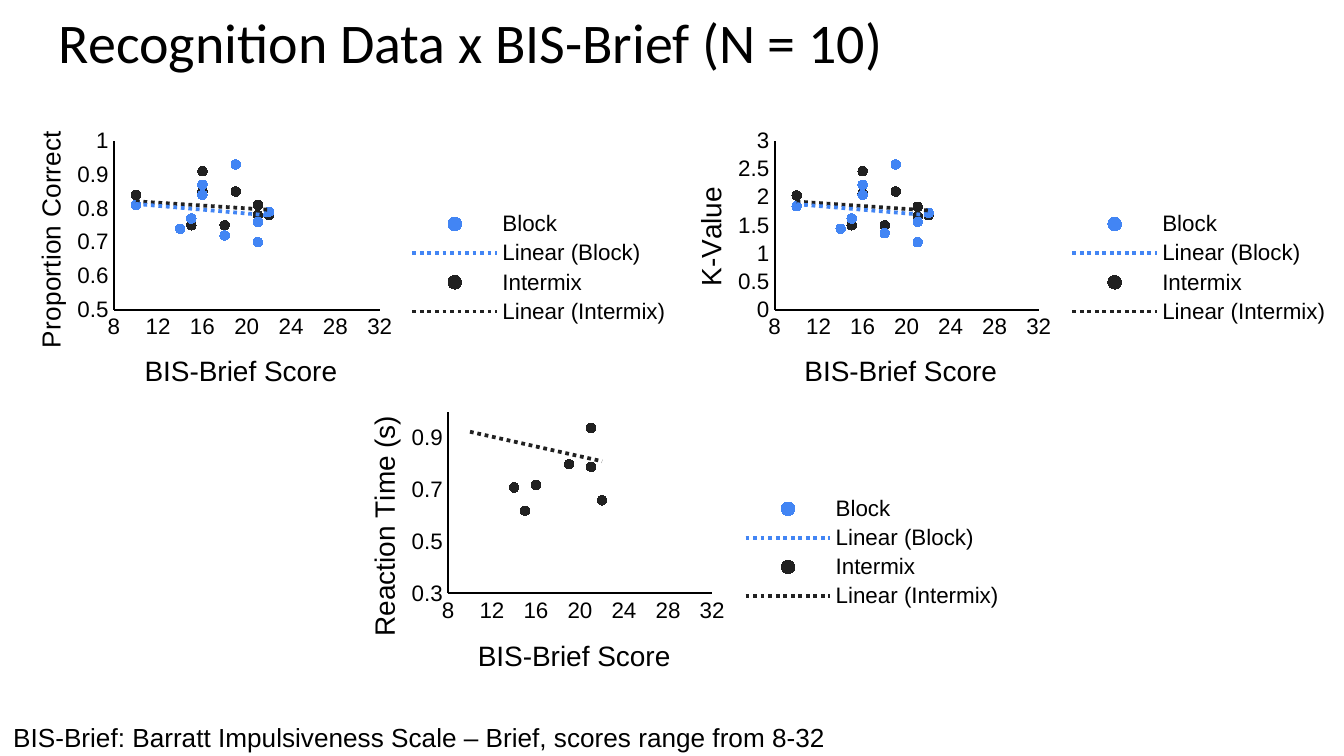
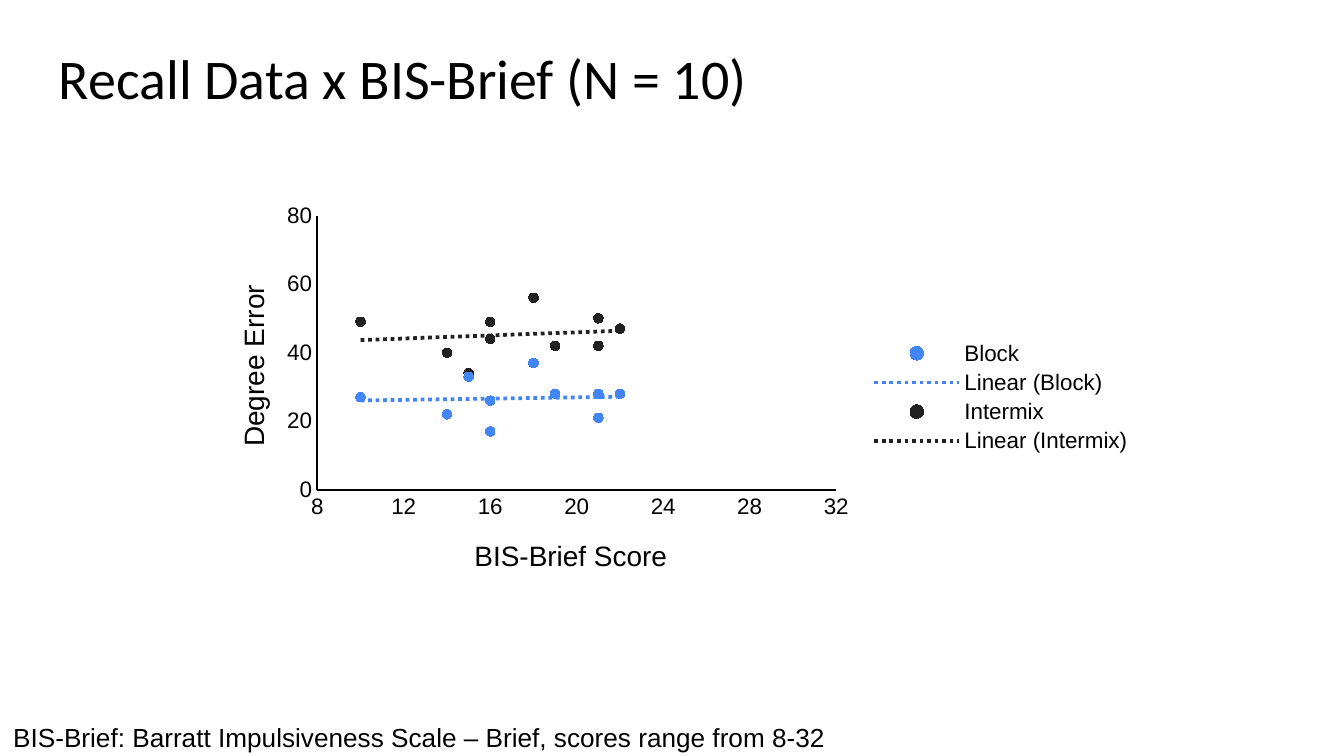
from lxml import etree
from pptx import Presentation
from pptx import util as u
from pptx.chart import data as cd
from pptx.dml import color
from pptx.enum import chart as ce
from pptx.enum import text
from pptx.oxml import ns

Pt = u.Pt
COLORS = {"text": "000000", "back": "FFFFFF", "Block": "4285F4", "Intermix": "212121"}
SCORES = [16, 21, 22, 21, 16, 14, 18, 10, 19, 15]
X_TITLE = "BIS-Brief Score"
FOOTER = "BIS-Brief: Barratt Impulsiveness Scale – Brief, scores range from 8-32"


def rgb(name):
    return color.RGBColor.from_string(COLORS[name])


def sub(parent, tag, **attrs):
    return etree.SubElement(parent, ns.qn(tag), attrs)


def set_layout(parent, index, fractions, inner=False):
    for old in parent.findall(ns.qn("c:layout")):
        parent.remove(old)
    layout = sub(parent, "c:layout")
    manual = sub(layout, "c:manualLayout")
    if inner:
        sub(manual, "c:layoutTarget", val="inner")
    for key in ("xMode", "yMode"):
        sub(manual, "c:" + key, val="edge")
    for key, value in zip("xywh", fractions):
        sub(manual, "c:" + key, val=f"{value:.4f}")
    parent.insert(index, layout)


class Deck:
    def __init__(self, font="Arial", title_font="Calibri"):
        self.prs = Presentation()
        self.prs.slide_width, self.prs.slide_height = Pt(720), Pt(405)
        self.font, self.title_font = font, title_font
        self.s = None

    def slide(self, title, title_top):
        self.s = self.prs.slides.add_slide(self.prs.slide_layouts[6])
        fill = self.s.background.fill
        fill.solid()
        fill.fore_color.rgb = rgb("back")
        self.text(FOOTER, (0, 383, 454, 24.5), 14, self.font, wrap=False)
        self.text(title, (24.5, title_top, 671, 45), 30, self.title_font, inset=7.2)

    def style(self, f, size, name=None):
        f.size, f.name, f.bold = Pt(size), name or self.font, False
        f.color.rgb = rgb("text")

    def text(self, words, box, size, font, inset=3.6, wrap=True):
        sp = self.s.shapes.add_textbox(*map(Pt, box))
        tf = sp.text_frame
        tf.word_wrap = wrap
        tf.margin_top = tf.margin_bottom = Pt(inset)
        if not wrap:
            tf.auto_size = text.MSO_AUTO_SIZE.SHAPE_TO_FIT_TEXT
        tf.text = words
        self.style(tf.paragraphs[0].runs[0].font, size, font)

    def axis(self, axis, scale, title, size, place, rotation):
        axis.minimum_scale, axis.maximum_scale, axis.major_unit = scale
        axis.has_major_gridlines = False
        axis.major_tick_mark = axis.minor_tick_mark = ce.XL_TICK_MARK.NONE
        axis.crosses = ce.XL_AXIS_CROSSES.MINIMUM
        axis.format.line.width = Pt(1)
        axis.format.line.color.rgb = rgb("text")
        labels = axis.tick_labels
        labels.number_format, labels.number_format_is_linked = "General", False
        self.style(labels.font, 12)
        heading = axis.axis_title
        heading.text_frame.text = title
        self.style(heading.text_frame.paragraphs[0].runs[0].font, size)
        node = heading.text_frame.paragraphs[0]._p.getparent()
        body = node.find(ns.qn("a:bodyPr"))
        body.set("rot", str(rotation))
        body.set("vert", "horz")
        set_layout(node.getparent().getparent(), 1, place)

    def trend(self, ser):
        line = etree.Element(ns.qn("c:trendline"))
        ln = sub(sub(line, "c:spPr"), "a:ln", w=str(Pt(2)))
        sub(sub(ln, "a:solidFill"), "a:srgbClr", val=COLORS[ser.name])
        sub(ln, "a:prstDash", val="sysDot")
        sub(line, "c:trendlineType", val="linear")
        for tag in ("c:dispRSqr", "c:dispEq"):
            sub(line, tag, val="0")
        ser._element.find(ns.qn("c:xVal")).addprevious(line)

    def scatter(self, box, plot, y_title, y_scale, values, y_size=15, y_title_top=2):
        data = cd.XyChartData()
        for name, ys in values.items():
            points = data.add_series(name)
            for x, y in zip(SCORES, ys):
                points.add_data_point(x, y)
        frame = self.s.shapes.add_chart(ce.XL_CHART_TYPE.XY_SCATTER, *map(Pt, box), data)
        chart = frame.chart
        self.style(chart.font, 10)
        chart.has_title = False
        chart.plots[0].vary_by_categories = False

        width, height = box[2:]
        left, top, w, h = plot
        area = chart._chartSpace.chart.plotArea
        set_layout(area, 0, (left / width, top / height, w / width, h / height), True)
        x_place = ((left + w / 2 - 57.5) / width, (height - 35) / height)
        self.axis(chart.category_axis, (8, 32, 4), X_TITLE, 15, x_place, 0)
        y_place = (18.5 / width, y_title_top / height)
        self.axis(chart.value_axis, y_scale, y_title, y_size, y_place, -5400000)

        for ser in chart.plots[0].series:
            ser.format.line.fill.background()
            ser.marker.style, ser.marker.size = ce.XL_MARKER_STYLE.CIRCLE, 5
            ser.marker.format.fill.solid()
            ser.marker.format.fill.fore_color.rgb = rgb(ser.name)
            ser.marker.format.line.color.rgb = rgb(ser.name)
            self.trend(ser)

        chart.has_legend = True
        legend = chart.legend
        legend.position = ce.XL_LEGEND_POSITION.RIGHT
        legend.include_in_layout = False
        self.style(legend.font, 12)
        for idx in (3, 2):
            entry = etree.Element(ns.qn("c:legendEntry"))
            sub(entry, "c:idx", val=str(idx))
            sub(entry, "c:delete", val="1")
            legend._element.find(ns.qn("c:legendPos")).addnext(entry)


def main():
    d = Deck()
    d.slide("Recognition Data x BIS-Brief (N = 10)", -3)
    d.scatter((-3, 65.5, 369.5, 156), (64, 10, 142.5, 90.5), "Proportion Correct", (0.5, 1, 0.1), {
        "Block": [0.84, 0.7, 0.79, 0.76, 0.87, 0.74, 0.72, 0.81, 0.93, 0.77],
        "Intermix": [0.85, 0.78, 0.78, 0.81, 0.91, 0.74, 0.75, 0.84, 0.85, 0.75],
    }, y_size=14)
    d.scatter((350, 65.5, 370, 156), (65, 10, 141.5, 90.5), "K-Value", (0, 3, 0.5), {
        "Block": [2.04, 1.2, 1.72, 1.56, 2.22, 1.44, 1.36, 1.84, 2.58, 1.62],
        "Intermix": [2.07, 1.66, 1.68, 1.83, 2.46, 1.44, 1.5, 2.03, 2.1, 1.5],
    }, y_title_top=32)
    d.scatter((175, 218, 370, 156), (65, 3, 141.5, 97), "Reaction Time (s)", (0.3, 1, 0.2), {
        "Block": [1.01, 0.77, 0.66, 0.69, 0.61, 0.69, 1.1, 0.9, 0.81],
        "Intermix": [1.19, 0.94, 0.66, 0.79, 0.72, 0.71, 1.12, 1.02, 0.8, 0.62],
    })

    d.slide("Recall Data x BIS-Brief (N = 10)", 16)
    d.scatter((105, 105, 509, 215.5), (65, 10.5, 278, 147), "Degree Error", (0, 80, 20), {
        "Block": [26, 21, 28, 28, 17, 22, 37, 27, 28, 33],
        "Intermix": [49, 50, 47, 42, 44, 40, 56, 49, 42, 34],
    }, y_title_top=45)
    d.prs.save("out.pptx")


if __name__ == "__main__":
    main()
